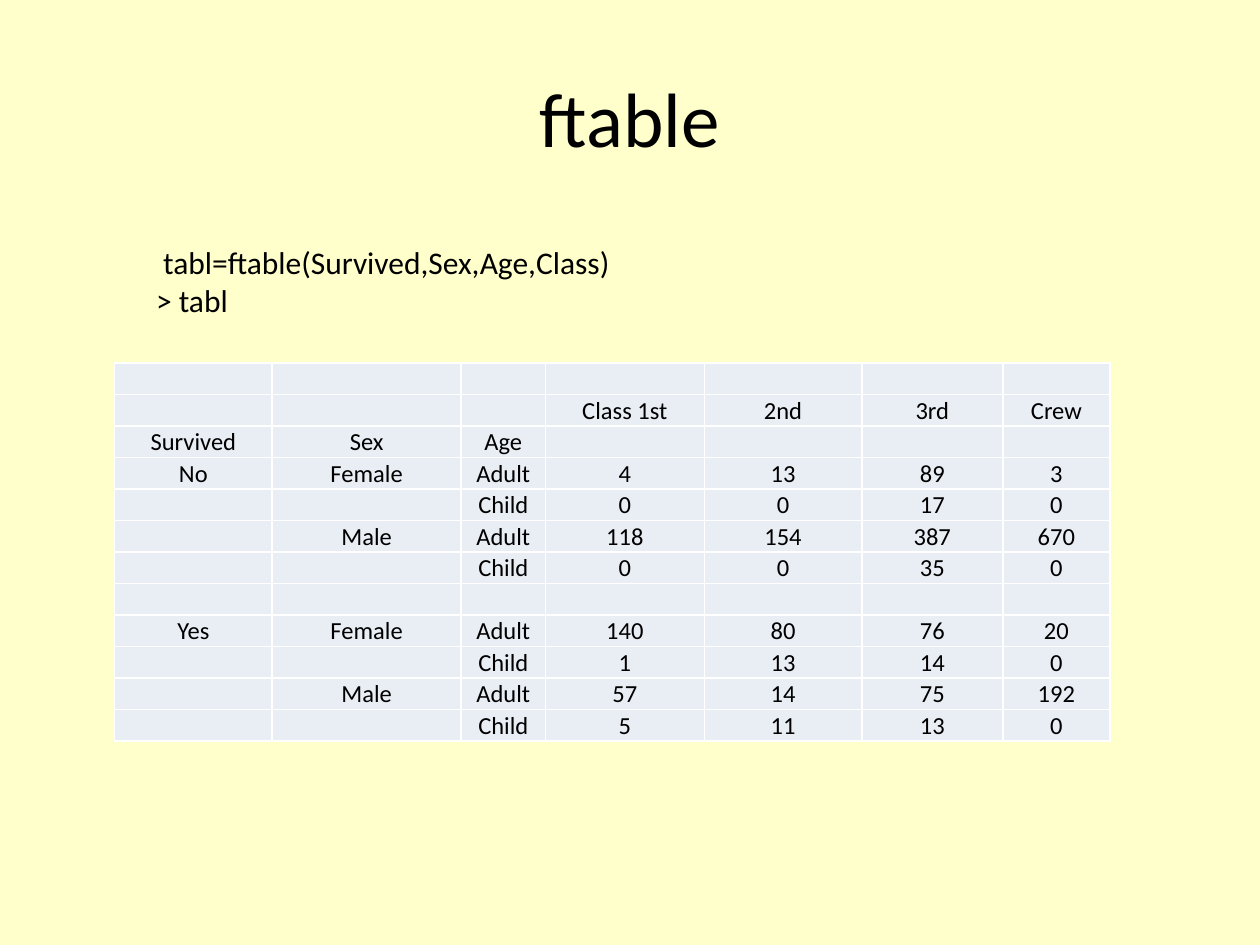
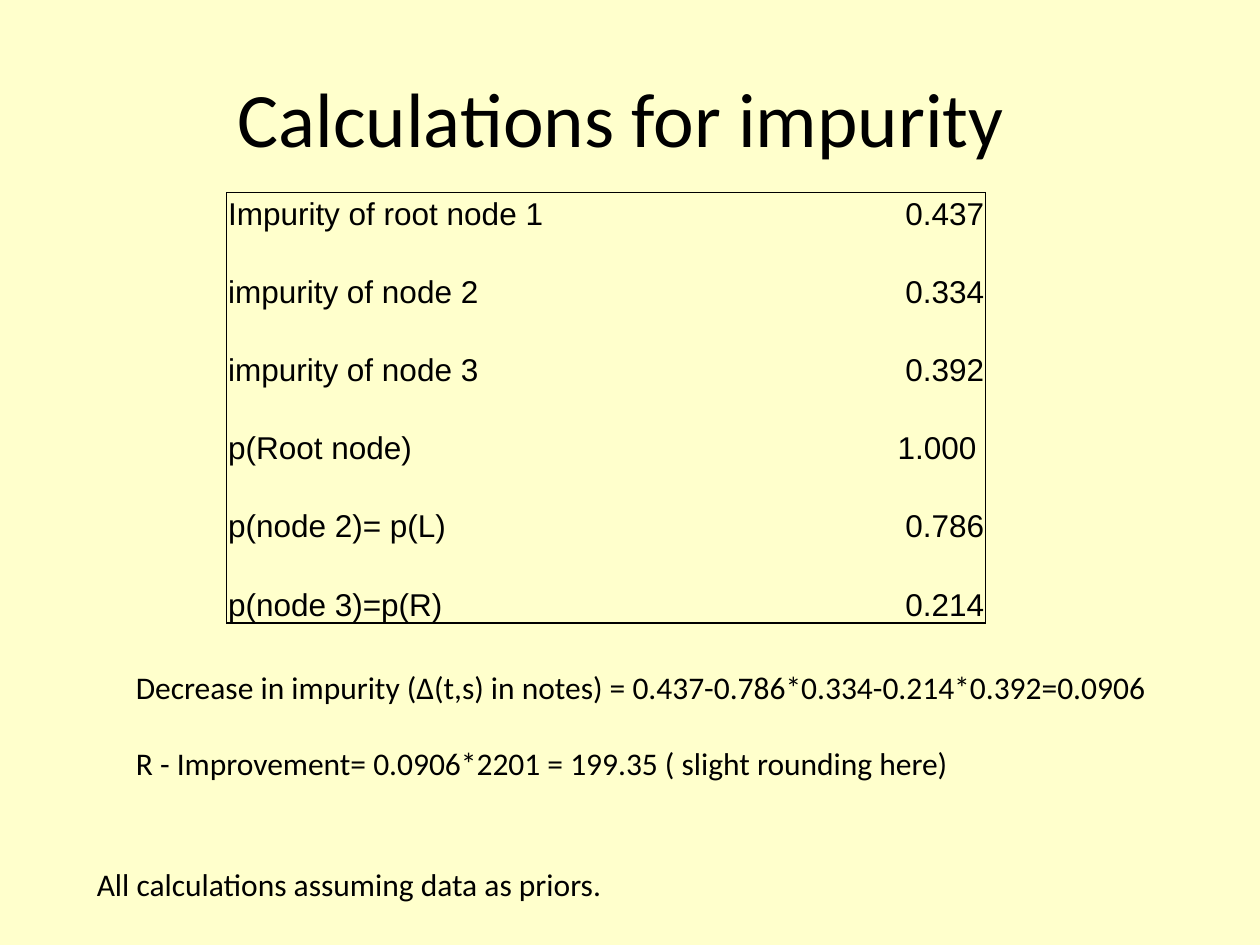
from lxml.etree import SubElement
from pptx import Presentation
from pptx.dml.color import RGBColor
from pptx.enum.text import MSO_ANCHOR as Anchor, MSO_AUTO_SIZE as AutoSize, PP_ALIGN as Align
from pptx.oxml import parse_xml
from pptx.oxml.ns import nsdecls, qn
from pptx.util import Inches, Pt

PAPER, INK, CELL, RULE = "FFFFCC", "000000", "E9EDF4", "FFFFFF"
HEAD_FONT, GRID_FONT = "Calibri", "Arial"
TITLE_AREA = (0.5, 0.3, 9, 1.25)
PLAIN_TABLE = "{2D5ABB26-0587-4C30-8999-92F81FD0307C}"

FTABLE_TITLE = "ftable"
FTABLE_CODE = [" tabl=ftable(Survived,Sex,Age,Class)", "> tabl"]
FTABLE_COLUMNS = [1.25, 1.5, 0.67, 1.26, 1.25, 1.12, 0.85]
FTABLE_ROWS = [
    ("", "", "", "", "", "", ""),
    ("", "", "", "Class 1st", "2nd", "3rd", "Crew"),
    ("Survived", "Sex", "Age", "", "", "", ""),
    ("No", "Female", "Adult", "4", "13", "89", "3"),
    ("", "", "Child", "0", "0", "17", "0"),
    ("", "Male", "Adult", "118", "154", "387", "670"),
    ("", "", "Child", "0", "0", "35", "0"),
    ("", "", "", "", "", "", ""),
    ("Yes", "Female", "Adult", "140", "80", "76", "20"),
    ("", "", "Child", "1", "13", "14", "0"),
    ("", "Male", "Adult", "57", "14", "75", "192"),
    ("", "", "Child", "5", "11", "13", "0"),
]

IMPURITY_TITLE = "Calculations for impurity "
IMPURITY_COLUMNS = [4.56, 1.46]
IMPURITY_VALUES = [
    ("Impurity of root node 1", "0.437"),
    ("impurity of node 2", "0.334"),
    ("impurity of node 3", "0.392"),
    ("p(Root node)", "1.000"),
    ("p(node 2)= p(L)", "0.786"),
    ("p(node 3)=p(R)", "0.214"),
]
INDENTED_VALUE = "1.000"
PRIORS_NOTE = ["All calculations assuming data as priors."]
DECREASE_NOTES = [
    "Decrease in impurity (∆(t,s) in notes) = 0.437-0.786*0.334-0.214*0.392=0.0906",
    "R - Improvement= 0.0906*2201 = 199.35 ( slight rounding here)",
]


def color(value):
    return RGBColor.from_string(value)


def add_span(para, text, size, font):
    span = para.add_run()
    span.text = text
    span.font.size = Pt(size)
    span.font.name = font
    span.font.color.rgb = color(INK)


def add_text(page, area, lines, size=18, align=Align.LEFT, anchor=Anchor.TOP,
             wrap=True, grow=True, gap=0):
    box = page.shapes.add_textbox(*map(Inches, area))
    frame = box.text_frame
    frame.word_wrap = wrap
    frame.auto_size = AutoSize.SHAPE_TO_FIT_TEXT if grow else AutoSize.NONE
    frame.vertical_anchor = anchor
    for index, line in enumerate(lines):
        para = frame.add_paragraph() if index else frame.paragraphs[0]
        para.alignment = align
        if index and gap:
            para.space_before = Pt(gap)
        add_span(para, line, size, HEAD_FONT)


def add_page(deck, title):
    page = deck.slides.add_slide(deck.slide_layouts[6])
    add_text(page, TITLE_AREA, [title], 44, Align.CENTER, Anchor.MIDDLE, grow=False)
    return page


def set_borders(cell, borders):
    properties = cell._tc.get_or_add_tcPr()
    sides = [side for side in "LRTB" if side in borders]
    for index, side in enumerate(sides):
        value, width = borders[side]
        properties.insert(index, parse_xml(
            f'<a:ln{side} {nsdecls("a")} w="{Pt(width)}"><a:solidFill>'
            f'<a:srgbClr val="{value}"/></a:solidFill></a:ln{side}>'))


def add_grid(page, left, top, columns, row_height, rows, size, font):
    height = row_height * len(rows)
    shape = page.shapes.add_table(len(rows), len(columns), Inches(left), Inches(top),
                                  Inches(sum(columns)), Inches(height))
    table = shape.table
    table.first_row = table.horz_banding = False
    table._tbl.tblPr.find(qn("a:tableStyleId")).text = PLAIN_TABLE
    for column, width in zip(table.columns, columns):
        column.width = Inches(width)
    for row, texts in zip(table.rows, rows):
        row.height = Inches(row_height)
        for cell, text in zip(row.cells, texts):
            cell.vertical_anchor = Anchor.BOTTOM
            cell.margin_left = cell.margin_right = cell.margin_top = Inches(0.01)
            cell.margin_bottom = 0
            para = cell.text_frame.paragraphs[0]
            if text:
                add_span(para, text, size, font)
            else:
                SubElement(para._p, qn("a:endParaRPr"), sz=str(size * 100))
    return table


def build_ftable(deck):
    page = add_page(deck, FTABLE_TITLE)
    add_text(page, (1.14, 1.88, 6.36, 0.71), FTABLE_CODE)
    table = add_grid(page, 0.91, 2.88, FTABLE_COLUMNS, 0.25, FTABLE_ROWS, 14, HEAD_FONT)
    for cell in table.iter_cells():
        cell.text_frame.paragraphs[0].alignment = Align.CENTER
        cell.fill.solid()
        cell.fill.fore_color.rgb = color(CELL)
        set_borders(cell, dict.fromkeys("LRTB", (RULE, 1)))


def build_impurity(deck):
    page = add_page(deck, IMPURITY_TITLE)
    rows = [IMPURITY_VALUES[0]]
    for pair in IMPURITY_VALUES[1:]:
        rows += [("", ""), pair]
    table = add_grid(page, 1.8, 1.53, IMPURITY_COLUMNS, 0.28, rows, 18, GRID_FONT)
    last = len(rows) - 1
    for index, row in enumerate(table.rows):
        for side, cell in zip("LR", row.cells):
            borders = {side: (INK, 0.5)}
            if index == 0:
                borders["T"] = (INK, 0.5)
            if index == last:
                borders["B"] = (INK, 1)
            cell.fill.background()
            set_borders(cell, borders)
            if side == "R":
                cell.text_frame.paragraphs[0].alignment = Align.RIGHT
            if cell.text_frame.text == INDENTED_VALUE:
                cell.margin_right = Inches(0.07)
    add_text(page, (0.67, 6.82, 4.37, 0.4), PRIORS_NOTE, wrap=False)
    add_text(page, (0.98, 5.25, 8.35, 1.01), DECREASE_NOTES, gap=22)


def main():
    deck = Presentation()
    deck.slide_width, deck.slide_height = Inches(10), Inches(7.5)
    backdrop = deck.slide_master.background.fill
    backdrop.solid()
    backdrop.fore_color.rgb = color(PAPER)
    build_ftable(deck)
    build_impurity(deck)
    deck.save("out.pptx")


if __name__ == "__main__":
    main()
